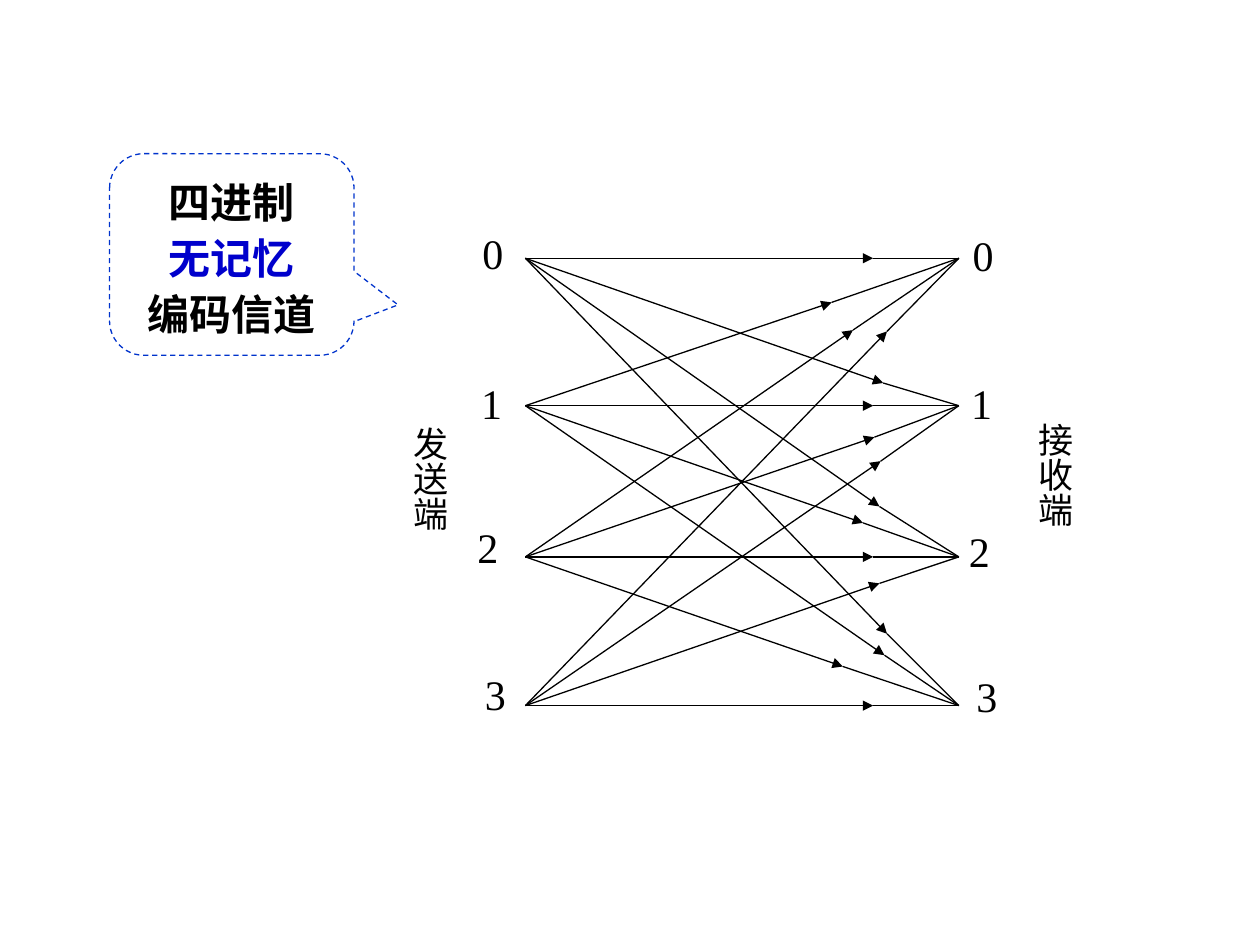
from pptx import Presentation
from pptx import util as u
from pptx.dml.color import RGBColor
from pptx.enum import dml, shapes, text
from pptx.oxml.ns import qn
from lxml import etree

BLACK, BLUE, OUTLINE = "000000", "0000CC", "0033CC"
SERIF, SANS, CJK = "Times New Roman", "Karla", "Noto Sans CJK SC"


def rgb(value):
    return RGBColor.from_string(value)


class ChannelSlide:
    """Style of the diagram and the slide it is drawn on."""
    line_width = u.Pt(0.75)

    def __init__(self, deck):
        self.slide = deck.slides.add_slide(deck.slide_layouts[6])
        self.diagram = self.slide.shapes.add_group_shape().shapes

    def run(self, paragraph, words, size, font, color=BLACK, bold=False):
        run = paragraph.add_run()
        run.text = words
        run.font.size = u.Pt(size)
        run.font.name = font
        run.font.bold = bold
        run.font.color.rgb = rgb(color)
        east_asian = etree.SubElement(run._r.get_or_add_rPr(), qn("a:ea"))
        east_asian.set("typeface", CJK)

    def line(self, start, end, arrow=False):
        ends = [u.Inches(v) for v in (*start, *end)]
        link = self.diagram.add_connector(shapes.MSO_CONNECTOR.STRAIGHT, *ends)
        link.line.color.rgb = rgb(BLACK)
        link.line.width = self.line_width
        if arrow:
            tail = etree.SubElement(link.line._get_or_add_ln(), qn("a:tailEnd"))
            tail.set("type", "triangle")
        etree.SubElement(link._element.spPr, qn("a:effectLst"))

    def label(self, words, box, size, font, vertical=False):
        frame = self.diagram.add_textbox(*map(u.Inches, box)).text_frame
        frame.word_wrap = True
        if vertical:
            frame._txBody.bodyPr.set("vert", "eaVert")
        paragraph = frame.paragraphs[0]
        paragraph.alignment = text.PP_ALIGN.JUSTIFY
        self.run(paragraph, words, size, font)

    def callout(self, box, adjustments, lines):
        bubble = self.slide.shapes.add_shape(
            shapes.MSO_SHAPE.ROUNDED_RECTANGULAR_CALLOUT, *map(u.Inches, box))
        bubble.shadow.inherit = False
        bubble.fill.background()
        bubble.line.color.rgb = rgb(OUTLINE)
        bubble.line.width = self.line_width
        bubble.line.dash_style = dml.MSO_LINE.DASH
        for index, value in enumerate(adjustments):
            bubble.adjustments[index] = value
        frame = bubble.text_frame
        frame.word_wrap = True
        frame.vertical_anchor = text.MSO_ANCHOR.MIDDLE
        for index, (words, color) in enumerate(lines):
            paragraph = frame.add_paragraph() if index else frame.paragraphs[0]
            paragraph.alignment = text.PP_ALIGN.CENTER
            paragraph.line_spacing = u.Pt(32)
            self.run(paragraph, words, 24, SANS, color, bold=True)


def main():
    deck = Presentation()
    deck.slide_width, deck.slide_height = u.Inches(10), u.Inches(7.5)
    channel = ChannelSlide(deck)

    # Transitions: one row per sent symbol, one arrow tip per received symbol
    sender_x, receiver_x = 4.17, 7.61
    symbol_y = [2.05, 3.22, 4.42, 5.6]
    arrow_tips = [
        [(6.93, 2.05), (7.01, 3.04), (6.98, 4.02), (7.04, 5.03)],
        [(6.6, 2.4), (6.93, 3.22), (6.85, 4.15), (7.02, 5.2)],
        [(6.77, 2.62), (6.94, 3.47), (6.93, 4.42), (6.69, 5.29)],
        [(7.04, 2.63), (6.99, 3.66), (6.98, 4.63), (6.93, 5.6)],
    ]
    for sent_y, tips in zip(symbol_y, arrow_tips):
        for received_y, tip in zip(symbol_y, tips):
            channel.line((sender_x, sent_y), tip, arrow=True)
            channel.line(tip, (receiver_x, received_y))

    # Symbols at both ends
    sent_labels = [(3.73, 1.76), (3.72, 2.95), (3.69, 4.09), (3.75, 5.26)]
    received_labels = [(7.62, 1.77), (7.61, 2.95), (7.59, 4.12), (7.65, 5.27)]
    for corners in (sent_labels, received_labels):
        for symbol, corner in enumerate(corners):
            channel.label(str(symbol), (*corner, 0.55, 0.51), 24, SERIF)

    # Names of the two ends
    channel.label("发送端", (2.81, 3.29, 0.82, 1.35), 20, CJK, vertical=True)
    channel.label("接收端", (7.77, 3.26, 0.82, 1.53), 20, CJK, vertical=True)

    # Channel description
    channel.callout((0.87, 1.22, 1.94, 1.6), (0.68, 0.25, 0.17),
                    [("四进制", BLACK), ("无记忆", BLUE), ("编码信道", BLACK)])

    deck.save("out.pptx")


if __name__ == "__main__":
    main()
